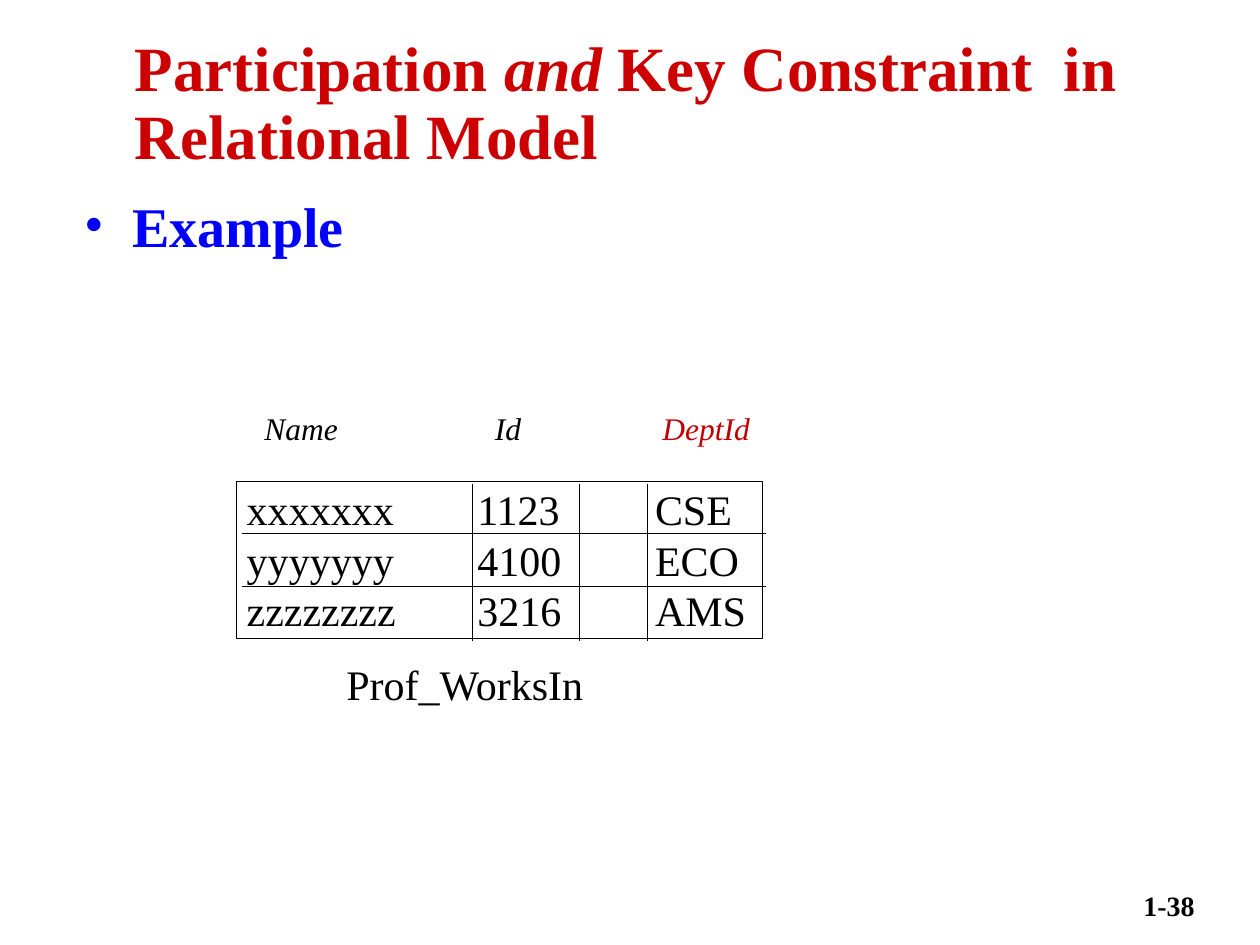
import pptx
import pptx.util
import pptx.dml.color
import pptx.enum.shapes
import pptx.enum.text
from lxml import etree

Inches = pptx.util.Inches
Pt = pptx.util.Pt
ALIGN = pptx.enum.text.PP_ALIGN
ANCHOR = pptx.enum.text.MSO_ANCHOR

FONT = "Times New Roman"
COLORS = {"title": "CC0000", "bullet": "0000FF", "key": "C00000", "ink": "000000"}

# Grid of the relation: outer frame, column rules and number of rows
LEFT, TOP, WIDTH, HEIGHT = 1.88, 3.82, 4.17, 1.25
COLUMNS = (3.75, 4.6, 5.14)
ROWS = (
    ("xxxxxxx", "1123", "CSE"),
    ("yyyyyyy", "4100", "ECO"),
    ("zzzzzzzz", "3216", "AMS"),
)


def color(name):
    return pptx.dml.color.RGBColor.from_string(COLORS[name])


def style(para, size, ink="ink", bold=False, italic=False):
    for run in para.runs:
        font = run.font
        font.name, font.size = FONT, Pt(size)
        font.bold, font.italic = bold, italic
        font.color.rgb = color(ink)


def place(shape, box):
    shape.left, shape.top, shape.width, shape.height = map(Inches, box)


def add_text(slide, box, lines, size, **look):
    """Add a text box with one paragraph for each line."""
    frame = slide.shapes.add_textbox(*map(Inches, box)).text_frame
    frame.word_wrap = True
    frame.margin_right = Inches(0.05)
    frame.text = "\n".join(lines)
    for para in frame.paragraphs:
        style(para, size, **look)
    return frame


def add_child(parent, tag, **attrs):
    return etree.SubElement(parent, pptx.oxml.ns.qn(tag), **attrs)


def set_tabs(para, stops):
    tabs = add_child(para._p.get_or_add_pPr(), "a:tabLst")
    for stop in stops:
        add_child(tabs, "a:tab", pos=str(Inches(stop)), algn="l")


def set_bullet(para, indent):
    props = para._p.get_or_add_pPr()
    props.set("marL", str(Inches(indent)))
    props.set("indent", str(-Inches(indent)))
    add_child(props, "a:buFont", typeface=FONT)
    add_child(props, "a:buChar", char="•")


def add_rule(slide, x1, y1, x2, y2):
    kind = pptx.enum.shapes.MSO_CONNECTOR.STRAIGHT
    rule = slide.shapes.add_connector(kind, *map(Inches, (x1, y1, x2, y2)))
    rule.line.color.rgb = color("ink")
    rule.line.width = Pt(0.75)
    add_child(rule._element.spPr, "a:effectLst")


def add_title(slide):
    title = slide.shapes.title
    place(title, (0.97, 0.35, 8.5, 0.97))
    frame = title.text_frame
    frame.auto_size = pptx.enum.text.MSO_AUTO_SIZE.NONE
    frame.vertical_anchor = ANCHOR.MIDDLE
    para = frame.paragraphs[0]
    para.alignment = ALIGN.LEFT
    para.line_spacing = 0.9
    for part in ("Participation ", "and", " Key Constraint  in Relational Model"):
        para.add_run().text = part
    style(para, 36, "title", bold=True)
    para.runs[1].font.italic = True


def add_frame(slide):
    kind = pptx.enum.shapes.MSO_SHAPE.RECTANGLE
    frame = slide.shapes.add_shape(kind, *map(Inches, (LEFT, TOP, WIDTH, HEIGHT)))
    frame.shadow.inherit = False
    frame.fill.background()
    frame.line.color.rgb = color("ink")
    frame.line.width = Pt(0.75)


def add_grid(slide):
    add_frame(slide)
    for x in COLUMNS:
        add_rule(slide, x, TOP + 0.02, x, TOP + HEIGHT + 0.02)
    for row in range(1, len(ROWS)):
        y = TOP + HEIGHT * row / len(ROWS)
        add_rule(slide, LEFT + 0.04, y, LEFT + WIDTH + 0.03, y)


def add_heads(slide):
    frame = add_text(slide, (2, 3.23, 4.06, 0.37), ["Name\tId\t"], 18, italic=True)
    para = frame.paragraphs[0]
    para.line_spacing = 0.9
    para.space_before = Pt(3.6)
    run = para.add_run()
    run.text = "DeptId"
    style(para, 18, italic=True)
    run.font.color.rgb = color("key")
    set_tabs(para, (1.83, 3.16))


def main():
    deck = pptx.Presentation()
    deck.slide_width, deck.slide_height = Inches(10), Inches(7.5)
    slide = deck.slides.add_slide(deck.slide_layouts.get_by_name("Title Only"))

    number = add_text(slide, (8.62, 7, 0.96, 0.5), ["1-38"], 16, bold=True)
    number.margin_right = Inches(0.1)
    number.paragraphs[0].alignment = ALIGN.RIGHT
    add_title(slide)

    body = add_text(slide, (0.57, 1.47, 8.91, 5.2), ["Example"], 32,
                    ink="bullet", bold=True)
    body.paragraphs[0].space_before = Pt(6.4)
    set_bullet(body.paragraphs[0], 0.38)

    cells = add_text(slide, (1.86, 3.79, 4.19, 1.3), map("\t".join, ROWS), 24)
    for para in cells.paragraphs:
        set_tabs(para, (1.83, 3.24))
    add_grid(slide)
    add_text(slide, (2.65, 5.18, 2.11, 0.5), ["Prof_WorksIn"], 24)
    add_heads(slide)

    deck.save("out.pptx")


if __name__ == "__main__":
    main()
